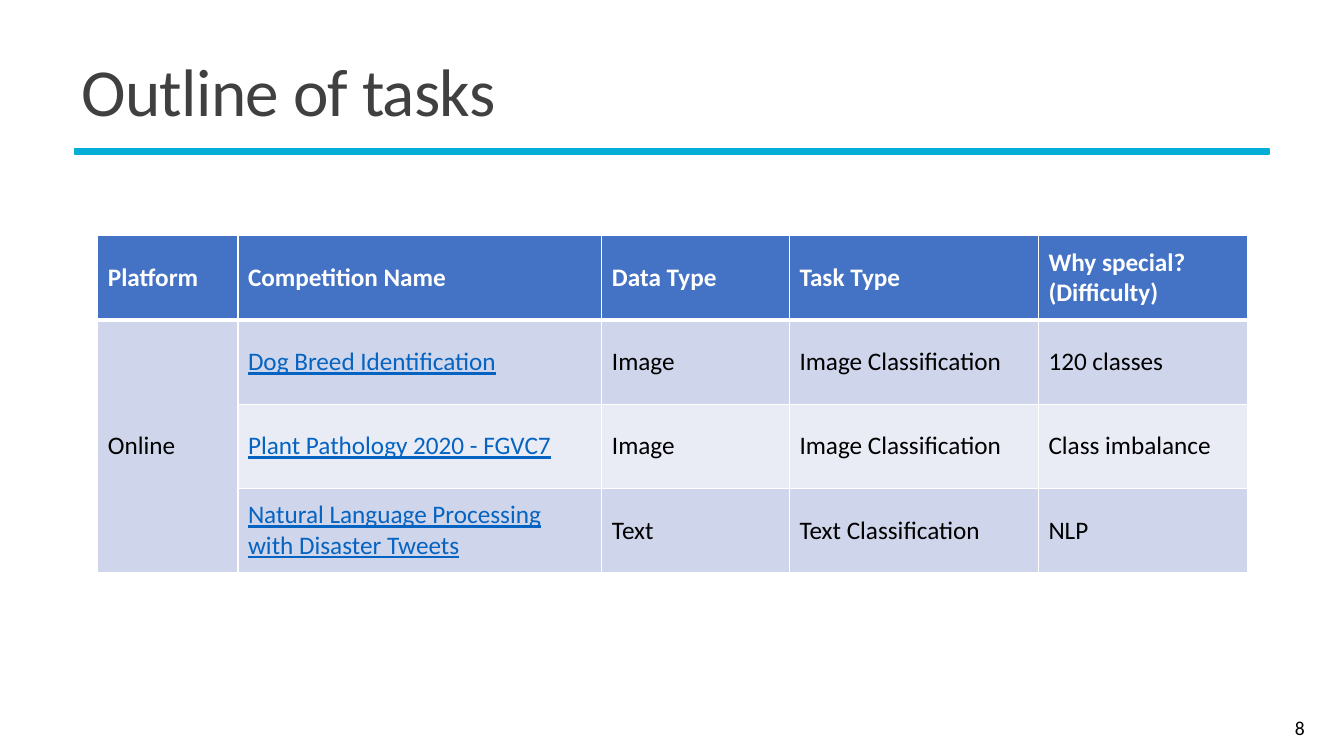
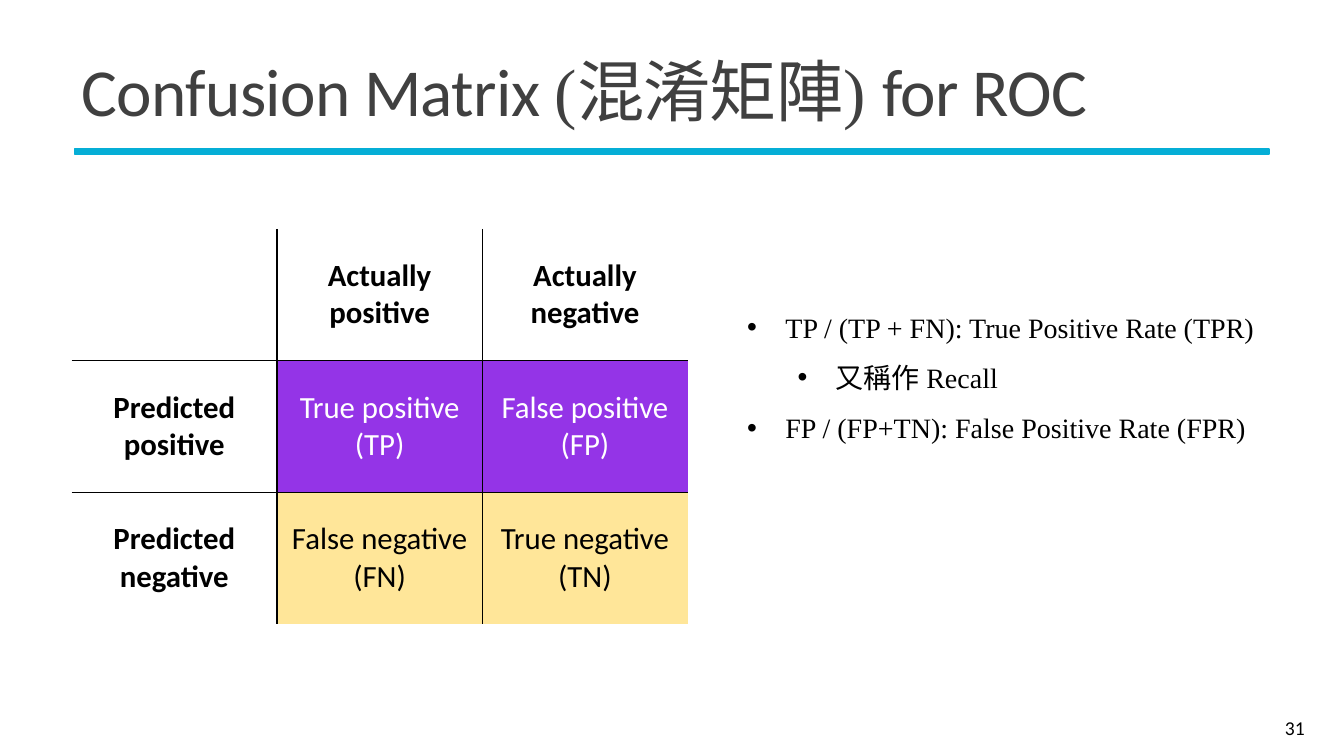
from lxml.etree import SubElement as Sub
from pptx import Presentation as Deck
from pptx.dml.color import RGBColor as Rgb
from pptx.enum.shapes import MSO_SHAPE as Shape
from pptx.enum.text import MSO_ANCHOR as Anchor, MSO_AUTO_SIZE as Auto, PP_ALIGN as Align
from pptx.oxml.ns import qn
from pptx.util import Inches, Pt

SANS, SERIF = "Calibri", "Times New Roman"
BLACK, WHITE, GREY = "000000", "FFFFFF", "404040"
AQUA, NAVY, LINK = "05AED6", "4472C4", "0563C1"
BANDS = ["CFD5EA", "E9EBF5"]
TONES = [None, "9434E7", "FFE699"]

TITLE = (0.71, 0.39, 11.94, 1.13)
RULE = (0.74, 1.48, 11.85, 0.05)
NUMBER = (11.61, 7.02, 1.43, 0.4)


def paint(target, color):
    target.solid()
    target.fore_color.rgb = Rgb.from_string(color)


def place(shape, box):
    shape.left, shape.top, shape.width, shape.height = map(Inches, box)


def add_run(para, text, size, color=BLACK, face=SANS, bold=False, under=False):
    run = para.add_run()
    run.text = text
    font = run.font
    font.size, font.name, font.bold, font.underline = Pt(size), face, bold, under
    paint(font.fill, color)
    return run


def add_slide(deck, layout, title, number):
    slide = deck.slides.add_slide(deck.slide_layouts[layout])
    rule = slide.shapes.add_shape(Shape.RECTANGLE, *map(Inches, RULE))
    rule.shadow.inherit = False
    paint(rule.fill, AQUA)
    paint(rule.line.fill, AQUA)
    rule.line.width = Pt(1.25)

    head = slide.shapes.title
    place(head, TITLE)
    frame = head.text_frame
    frame.auto_size, frame.vertical_anchor = Auto.NONE, Anchor.MIDDLE
    para = frame.paragraphs[0]
    para.alignment, para.line_spacing = Align.LEFT, 0.85
    for text, face in title:
        run = add_run(para, text, 48, GREY, face)
        run.font._element.set("spc", "-50")

    frame = slide.shapes.add_textbox(*map(Inches, NUMBER)).text_frame
    frame.word_wrap, frame.vertical_anchor = True, Anchor.MIDDLE
    para = frame.paragraphs[0]
    para.alignment = Align.RIGHT
    add_run(para, str(number), 14)
    return slide


def add_edges(cell, color, widths):
    props = cell._tc.get_or_add_tcPr()
    for side in "LRTB":
        width = widths.get(side, 0)
        line = Sub(props, qn("a:ln" + side), w=str(Pt(width)))
        if width:
            fill = Sub(line, qn("a:solidFill"))
            Sub(fill, qn("a:srgbClr"), val=color)
        else:
            Sub(line, qn("a:noFill"))


def add_grid(slide, box, ratios, count):
    frame = slide.shapes.add_table(count, len(ratios), *map(Inches, box))
    table = frame.table
    table.first_row = table.horz_banding = False
    for column, ratio in zip(table.columns, ratios):
        column.width = Inches(box[2] * ratio / sum(ratios))
    for row in table.rows:
        row.height = Inches(box[3] / count)
    return table


def fill_cell(cell, text, tone, align=Align.LEFT, **style):
    cell.vertical_anchor = Anchor.MIDDLE
    if tone:
        paint(cell.fill, tone)
    else:
        cell.fill.background()
    frame = cell.text_frame
    for i, line in enumerate(text.split("\n") if text else []):
        para = frame.add_paragraph() if i else frame.paragraphs[0]
        para.alignment = align
        add_run(para, line, **style)


def add_tasks(slide, box):
    rows = [
        ["Platform", "Competition Name", "Data Type", "Task Type", "Why special?\n(Difficulty)"],
        ["Online", "Dog Breed Identification", "Image", "Image Classification", "120 classes"],
        ["", "Plant Pathology 2020 - FGVC7", "Image", "Image Classification", "Class imbalance"],
        ["", "Natural Language Processing with Disaster Tweets", "Text", "Text Classification", "NLP"],
    ]
    table = add_grid(slide, box, [1.39, 3.61, 1.86, 2.47, 2.07], len(rows))
    for r, row in enumerate(rows):
        for c, text in enumerate(row):
            cell = table.cell(r, c)
            top, base = (3 if r == 1 else 1), (1 if r else 3)
            add_edges(cell, WHITE, {"L": 1, "R": 1, "T": top, "B": base})
            link = r > 0 and c == 1
            tone = BANDS[(r - 1) % 2 if c else 0] if r else NAVY
            color = LINK if link else BLACK if r else WHITE
            fill_cell(cell, text, tone, size=18, color=color, bold=r == 0, under=link)
    table.cell(1, 0).merge(table.cell(3, 0))


def add_matrix(slide, box):
    rows = [
        ["", "Actually positive", "Actually negative"],
        ["Predicted positive", "True positive (TP)", "False positive (FP)"],
        ["Predicted negative", "False negative (FN)", "True negative (TN)"],
    ]
    last = len(rows) - 1
    table = add_grid(slide, box, [1, 1, 1], len(rows))
    for r, row in enumerate(rows):
        for c, text in enumerate(row):
            cell = table.cell(r, c)
            add_edges(cell, BLACK, {"L": c > 0, "R": c < last, "T": r > 0, "B": r < last})
            inner = r > 0 and c > 0
            color = WHITE if inner and r == 1 else BLACK
            fill_cell(cell, text, TONES[r] if inner else None, Align.CENTER,
                      size=22, color=color, bold=not inner)


def add_rates(slide, box):
    items = [
        ("TP / (TP + FN): True Positive Rate (TPR)", 0),
        ("又稱作 Recall", 1),
        ("FP / (FP+TN): False Positive Rate (FPR)", 0),
    ]
    body = slide.placeholders[1]
    place(body, box)
    frame = body.text_frame
    frame.auto_size, frame.vertical_anchor = Auto.NONE, Anchor.TOP
    for i, (text, level) in enumerate(items):
        para = frame.add_paragraph() if i else frame.paragraphs[0]
        para.level, para.line_spacing = level, 1.5
        para.space_before = Pt(0)
        props = para._p.get_or_add_pPr()
        props.set("marL", str(Inches(0.38 + 0.5 * level)))
        props.set("indent", str(Inches(-0.38)))
        Sub(props, qn("a:buFont"), typeface="Arial")
        Sub(props, qn("a:buChar"), char="•")
        add_run(para, text, 20, face=SERIF)


def main():
    deck = Deck()
    deck.slide_width, deck.slide_height = Inches(13.33), Inches(7.5)

    tasks = add_slide(deck, 5, [("Outline of tasks", SANS)], 8)
    add_tasks(tasks, (0.97, 2.34, 11.4, 3.34))

    title = [("Confusion Matrix ", SANS), ("(混淆矩陣) ", SERIF), ("for ROC", SANS)]
    matrix = add_slide(deck, 1, title, 31)
    add_matrix(matrix, (0.71, 2.27, 6.11, 3.92))
    add_rates(matrix, (7.31, 2.86, 5.31, 1.56))

    deck.save("out.pptx")


if __name__ == "__main__":
    main()
